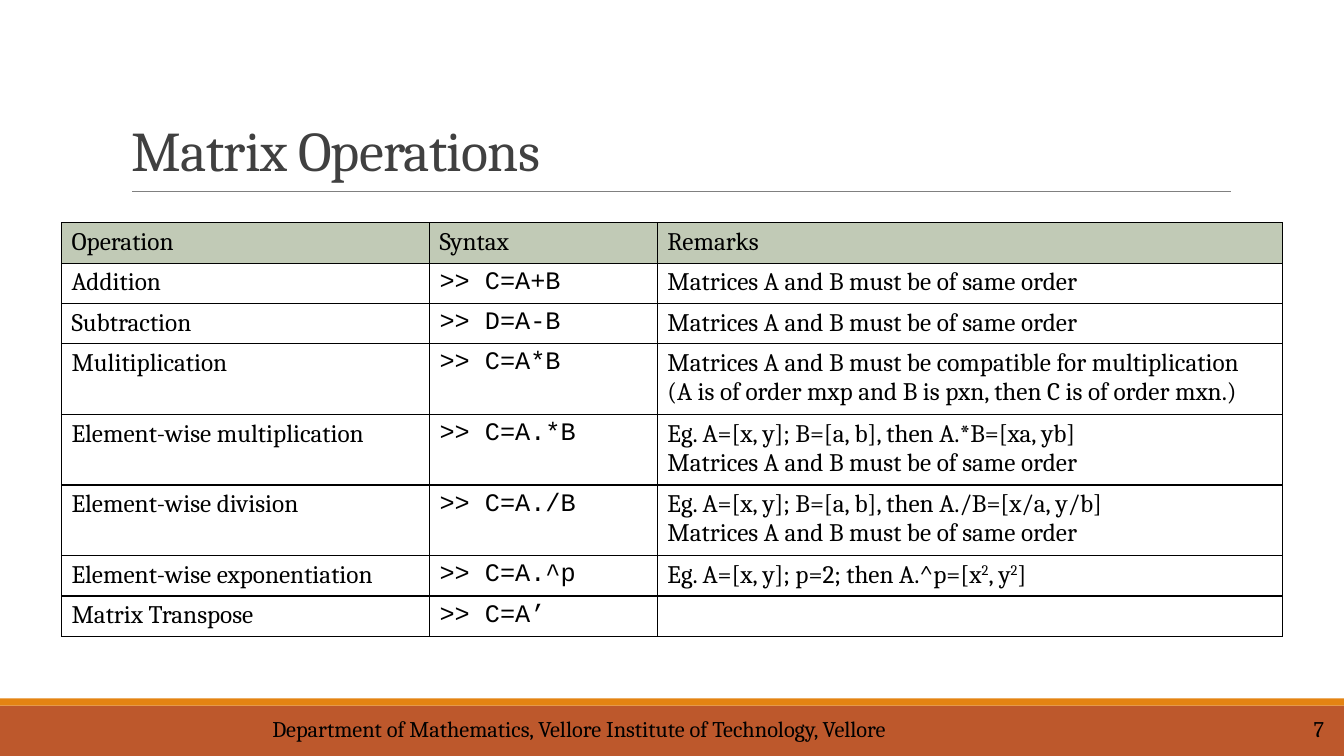
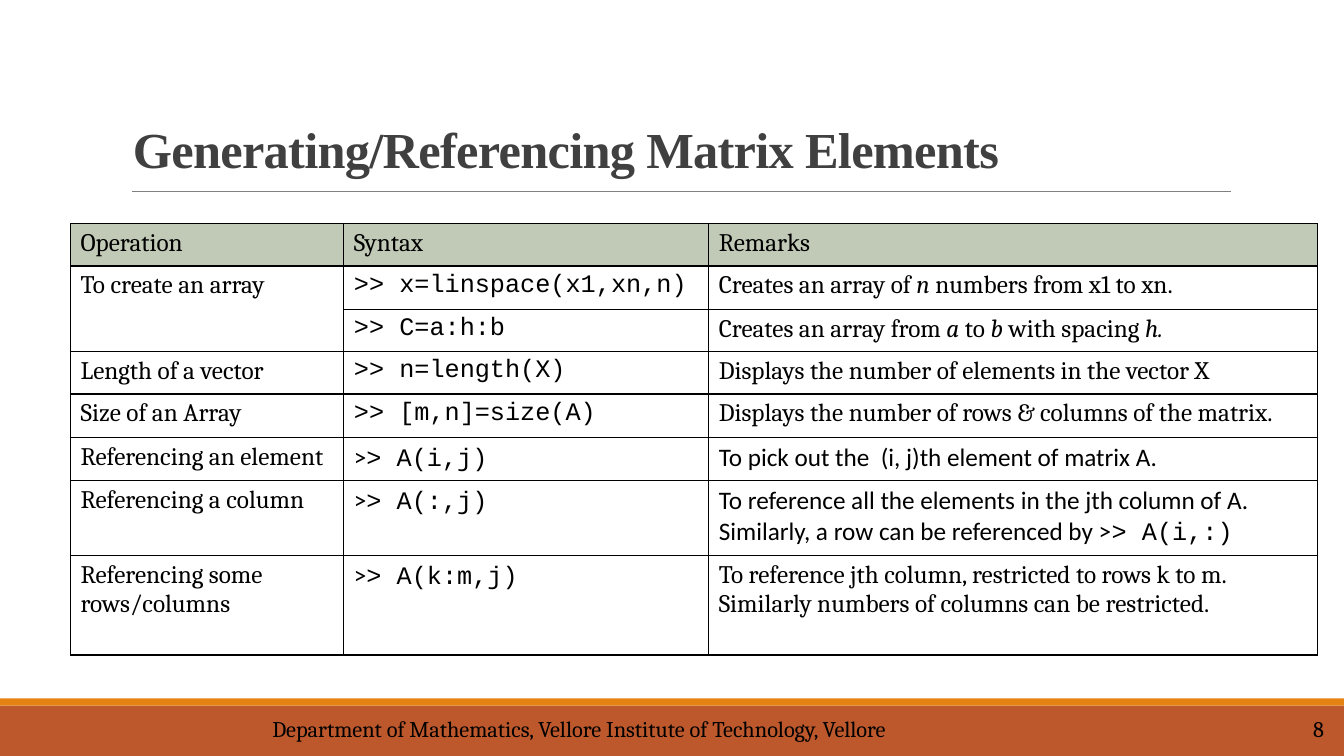
"""Build two slides of matrix operation tables with a shared frame."""
from dataclasses import dataclass

from lxml import etree
from pptx import Presentation
from pptx import util as u
from pptx.dml.color import RGBColor
from pptx.enum import shapes, text
from pptx.oxml import ns


@dataclass(frozen=True)
class Theme:
    band: str = "BD582C"
    strip: str = "E48312"
    rule: str = "808080"
    title: str = "404040"
    ink: str = "000000"
    head: str = "C1CAB6"
    serif: str = "Cambria"
    code: str = "Courier New"
    sans: str = "Calibri"
    body: int = 18
    foot: int = 16


T = Theme()
FOOT = "Department of Mathematics, Vellore Institute of Technology, Vellore"
HEAD = ("Operation", "Syntax", "Remarks")
SAME = "Matrices A and B must be of same order"
STYLES = {
    "plain": dict(font=T.serif),
    "code": dict(font=T.code),
    "sans": dict(font=T.sans),
    "it": dict(font=T.serif, italic=True),
    "sup": dict(font=T.serif, base=30000),
}


def prompt(code):
    return [(">", "sans"), ("> " + code, "code")]


SLIDES = [
    dict(
        title="Matrix Operations", page="7", at=(1.21, 1.1, 6.68, 0.76),
        look=dict(font=T.serif, size=40),
        spot=(0.61, 2.21), cols=(3.65, 2.26, 6.2), merge=(),
        rows=(0.4, 0.4, 0.4, 0.68, 0.68, 0.68, 0.39, 0.39),
        cells=[
            HEAD,
            ("Addition", ">> C=A+B", SAME),
            ("Subtraction", ">> D=A-B", SAME),
            ("Mulitiplication", ">> C=A*B",
             "Matrices A and B must be compatible for multiplication\n"
             "(A is of order mxp and B is pxn, then C is of order mxn.)"),
            ("Element-wise multiplication", ">> C=A.*B",
             "Eg. A=[x, y]; B=[a, b], then A.*B=[xa, yb]\n" + SAME),
            ("Element-wise division", ">> C=A./B",
             "Eg. A=[x, y]; B=[a, b], then A./B=[x/a, y/b]\n" + SAME),
            ("Element-wise exponentiation", ">> C=A.^p",
             [("Eg. A=[x, y]; p=2; then A.^p=[x", "plain"), ("2", "sup"),
              (", y", "plain"), ("2", "sup"), ("]", "plain")]),
            ("Matrix Transpose", ">> C=A\u2019", ""),
        ]),
    dict(
        title="Generating/Referencing Matrix Elements", page="8",
        at=(1.22, 1.06, 9.06, 0.76),
        look=dict(font="Times New Roman", size=36, bold=True),
        spot=(0.7, 2.22), cols=(2.71, 3.62, 6.04), merge=((1, 0, 2, 0),),
        rows=(0.42, 0.43, 0.42, 0.42, 0.43, 0.43, 0.74, 0.99),
        cells=[
            HEAD,
            ("To create an array", ">> x=linspace(x1,xn,n)",
             [("Creates an array of ", "plain"), ("n ", "it"),
              ("numbers from x1 to xn.", "plain")]),
            ("", ">> C=a:h:b",
             [("Creates an array from ", "plain"), ("a", "it"),
              (" to ", "plain"), ("b ", "it"),
              ("with spacing ", "plain"), ("h.", "it")]),
            ("Length of a vector", ">> n=length(X)",
             "Displays the number of elements in the vector X"),
            ("Size of an Array", ">> [m,n]=size(A)",
             "Displays the number of rows & columns of the matrix."),
            ("Referencing an element", prompt("A(i,j)"),
             [("To pick out the  (i, j)th element of matrix A.", "sans")]),
            ("Referencing a column", prompt("A(:,j)"),
             [("To reference all the elements in the jth column of A. "
               "Similarly, a row can be referenced by ", "sans"),
              *prompt("A(i,:)")]),
            ("Referencing some rows/columns", prompt("A(k:m,j)"),
             "To reference jth column, restricted to rows k to m.  "
             "Similarly numbers of columns can be restricted."),
        ]),
]


def rgb(code):
    return RGBColor.from_string(code)


def inches(nums):
    return [u.Inches(n) for n in nums]


def style(run, font, size=T.body, color=T.ink, bold=False, italic=False,
          base=0, space=0):
    face = run.font
    face.name, face.size = font, u.Pt(size)
    face.bold, face.italic = bold, italic
    face.color.rgb = rgb(color)
    props = run._r.get_or_add_rPr()
    for key, num in (("baseline", base), ("spc", space)):
        if num:
            props.set(key, str(num))


def label(slide, words, at, anchor, align, look):
    frame = slide.shapes.add_textbox(*inches(at)).text_frame
    frame.word_wrap = True
    frame.vertical_anchor = anchor
    frame.text = words
    para = frame.paragraphs[0]
    para.alignment = align
    style(para.runs[0], **look)
    return para


def bar(slide, at, color):
    box = slide.shapes.add_shape(shapes.MSO_SHAPE.RECTANGLE, *inches(at))
    box.shadow.inherit = False
    box.fill.solid()
    box.fill.fore_color.rgb = rgb(color)
    box.line.fill.background()


def frame(slide, data):
    bar(slide, (0, 7, 13.33, 0.5), T.band)
    bar(slide, (0, 6.93, 13.33, 0.07), T.strip)
    rule = slide.shapes.add_connector(
        shapes.MSO_CONNECTOR.STRAIGHT, *inches((1.31, 1.9, 12.21, 1.9)))
    rule.line.color.rgb = rgb(T.rule)
    rule.line.width = u.Pt(0.5)
    etree.SubElement(rule._element.spPr, ns.qn("a:effectLst"))
    anchor, align = text.MSO_ANCHOR, text.PP_ALIGN
    para = label(slide, data["title"], data["at"], anchor.BOTTOM, align.LEFT,
                 dict(data["look"], color=T.title, space=-50))
    para.line_spacing = 0.85
    small = dict(font=T.serif, size=T.foot)
    label(slide, FOOT, (2, 7.03, 7.49, 0.4), anchor.MIDDLE, align.CENTER, small)
    label(slide, data["page"], (11.65, 7.03, 1.58, 0.4), anchor.MIDDLE,
          align.RIGHT, small)


def border(cell):
    props = cell._tc.get_or_add_tcPr()
    for side in "LRTB":
        line = etree.SubElement(props, ns.qn("a:ln" + side), w=str(u.Pt(1)))
        fill = etree.SubElement(line, ns.qn("a:solidFill"))
        etree.SubElement(fill, ns.qn("a:srgbClr"), val=T.ink)


def write(cell, item, kind):
    if isinstance(item, str):
        lines = [[(part, kind)] for part in item.split("\n")] if item else []
    else:
        lines = [item]
    body = cell.text_frame
    for i, line in enumerate(lines):
        para = body.add_paragraph() if i else body.paragraphs[0]
        for words, name in line:
            run = para.add_run()
            run.text = words
            style(run, **STYLES[name])


def grid(slide, data):
    cols, rows = data["cols"], data["rows"]
    table = slide.shapes.add_table(
        len(rows), len(cols),
        *inches((*data["spot"], sum(cols), sum(rows)))).table
    table.first_row = table.horz_banding = False
    for col, wide in zip(table.columns, cols):
        col.width = u.Inches(wide)
    for row, high in zip(table.rows, rows):
        row.height = u.Inches(high)
    for r, line in enumerate(data["cells"]):
        for c, item in enumerate(line):
            cell = table.cell(r, c)
            border(cell)
            if r:
                cell.fill.background()
            else:
                cell.fill.solid()
                cell.fill.fore_color.rgb = rgb(T.head)
            write(cell, item, "code" if r and c == 1 else "plain")
    for top, left, low, right in data["merge"]:
        table.cell(top, left).merge(table.cell(low, right))


deck = Presentation()
deck.slide_width, deck.slide_height = inches((13.33, 7.5))
for data in SLIDES:
    slide = deck.slides.add_slide(deck.slide_layouts[6])
    frame(slide, data)
    grid(slide, data)
deck.save("out.pptx")
